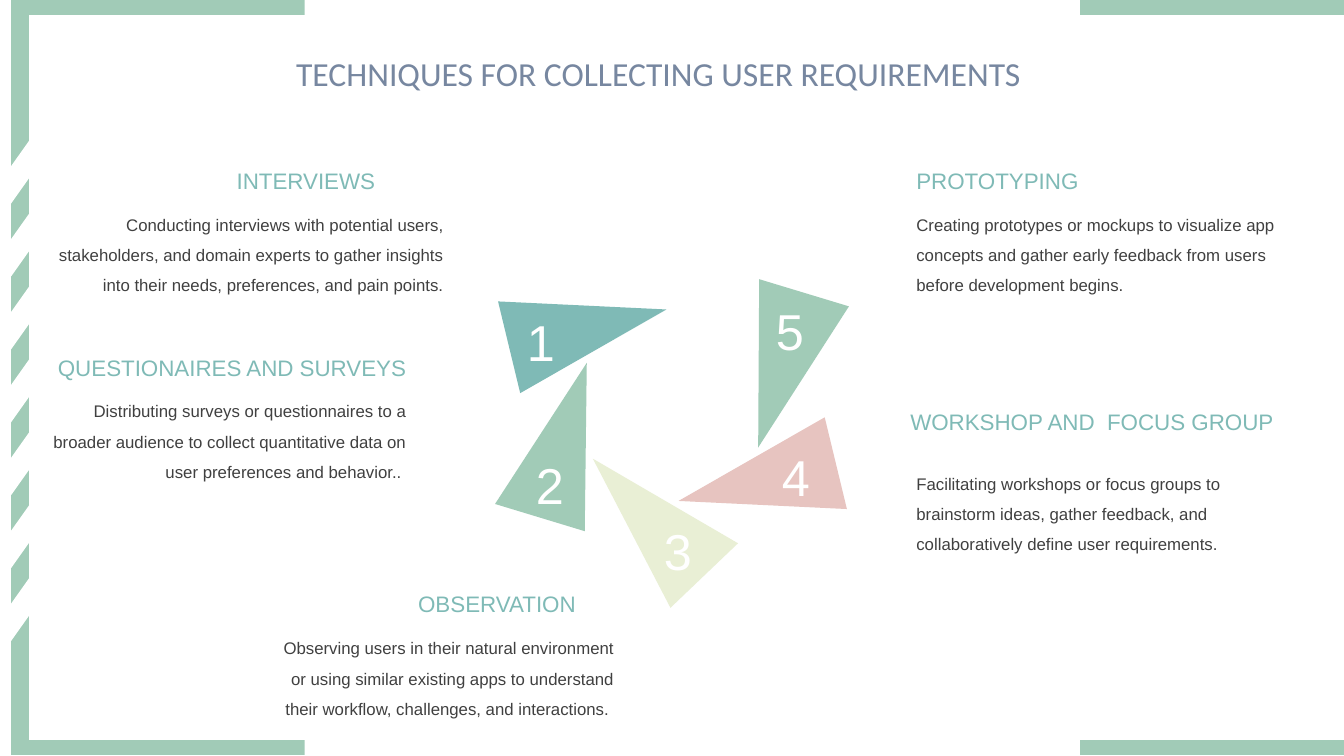
"""Build a slide on five techniques for collecting user requirements."""
from dataclasses import dataclass

from pptx import Presentation
from pptx import util as u
from pptx.dml.color import RGBColor
from pptx.enum import shapes, text
from pptx.shapes.autoshape import Shape
from pptx.slide import Slide
from pptx.text.text import TextFrame

Point = tuple[float, float]
Box = tuple[float, float, float, float]
LEFT, CENTER, RIGHT = text.PP_ALIGN.LEFT, text.PP_ALIGN.CENTER, text.PP_ALIGN.RIGHT


@dataclass(frozen=True)
class Theme:
    white: str = "FFFFFF"
    green: str = "A1CBB7"
    teal: str = "7FBAB6"
    cream: str = "E9EFD5"
    rose: str = "E7C4C0"
    slate: str = "7787A0"
    charcoal: str = "404040"
    title_font: str = "Calibri"
    text_font: str = "Arial"
    title_size: int = 24
    heading_size: int = 16
    body_size: int = 12
    number_size: int = 36


@dataclass(frozen=True)
class Blade:
    number: str
    color: str
    corners: tuple[Point, Point, Point]
    number_at: Point


@dataclass(frozen=True)
class Technique:
    heading: str
    heading_box: Box
    description: str
    description_box: Box
    align: text.PP_ALIGN


THEME = Theme()
FRAME: tuple[tuple[Box, str], ...] = (
    ((0.11, 0, 13.22, 7.49), THEME.green),
    ((3.02, 0, 7.69, 7.5), THEME.white),
    ((0.29, 0.15, 13.04, 7.19), THEME.white),
)
STRIPE_COUNT, STRIPE_TOP, STRIPE_PITCH = 7, 1.48, 4.34 / 6
NUMBER_WIDTH, NUMBER_HEIGHT = 0.83, 0.71

BLADES = (
    Blade("3", THEME.cream, ((7.32, 5.39), (6.65, 6.03), (5.88, 4.55)), (6.31, 5.11)),
    Blade("2", THEME.green, ((5.8, 5.27), (4.91, 5), (5.82, 3.6)), (5.04, 4.46)),
    Blade("1", THEME.teal, ((5.16, 3.9), (4.94, 2.99), (6.61, 3.07)), (4.95, 3.04)),
    Blade("5", THEME.green, ((7.53, 2.77), (8.42, 3.04), (7.52, 4.44)), (7.42, 2.93)),
    Blade("4", THEME.rose, ((8.18, 4.14), (8.4, 5.05), (6.73, 4.97)), (7.48, 4.38)),
)

TECHNIQUES = (
    Technique(
        "INTERVIEWS", (2.24, 1.61, 1.58, 0.37),
        "Conducting interviews with potential users, stakeholders, and domain experts "
        "to gather insights into their needs, preferences, and pain points.",
        (0.47, 1.98, 4.03, 1.01), RIGHT),
    Technique(
        "QUESTIONAIRES AND SURVEYS", (0.47, 3.46, 3.66, 0.37),
        "Distributing surveys or questionnaires to a broader audience to collect "
        "quantitative data on user preferences and behavior.. ",
        (0.29, 3.83, 3.84, 1.01), RIGHT),
    Technique(
        "OBSERVATION", (4.04, 5.81, 1.77, 0.37),
        "Observing users in their natural environment or using similar existing apps "
        "to understand their workflow, challenges, and interactions. ",
        (2.63, 6.18, 3.56, 1.01), RIGHT),
    Technique(
        "PROTOTYPING", (8.99, 1.61, 1.81, 0.37),
        "Creating prototypes or mockups to visualize app concepts and gather early "
        "feedback from users before development begins.",
        (8.99, 1.98, 4.09, 1.01), LEFT),
    Technique(
        "WORKSHOP AND  FOCUS GROUP", (8.93, 4, 3.81, 0.37),
        "Facilitating workshops or focus groups to brainstorm ideas, gather feedback, "
        "and collaboratively define user requirements.",
        (8.99, 4.55, 3.79, 1.01), LEFT),
)


def inches(values: Box) -> list[u.Length]:
    """Convert a box to lengths."""
    return [u.Inches(value) for value in values]


def paint(shape: Shape, color: str) -> None:
    """Give a shape a flat fill with no outline or shadow."""
    shape.shadow.inherit = False
    shape.fill.solid()
    shape.fill.fore_color.rgb = RGBColor.from_string(color)
    shape.line.fill.background()


def write(frame: TextFrame, words: str, font: str, size: int, color: str,
          align: text.PP_ALIGN, spacing: float = 1.0, wrap: bool = True) -> None:
    """Fill a text frame with one formatted paragraph."""
    frame.text = words
    frame.word_wrap = wrap
    frame.auto_size = text.MSO_AUTO_SIZE.SHAPE_TO_FIT_TEXT
    frame.vertical_anchor = text.MSO_ANCHOR.TOP
    paragraph = frame.paragraphs[0]
    paragraph.alignment = align
    paragraph.line_spacing = spacing
    paragraph.font.name = font
    paragraph.font.size = u.Pt(size)
    paragraph.font.color.rgb = RGBColor.from_string(color)


def draw_frame(slide: Slide) -> None:
    """Draw the green border with its slanted stripes."""
    for box, color in FRAME:
        paint(slide.shapes.add_shape(shapes.MSO_SHAPE.RECTANGLE, *inches(box)), color)
    for index in range(STRIPE_COUNT):
        top = STRIPE_TOP + index * STRIPE_PITCH
        stripe = slide.shapes.add_shape(
            shapes.MSO_SHAPE.PARALLELOGRAM, *inches((-0.13, top, 0.77, 0.3)))
        paint(stripe, THEME.white)
        stripe.line.color.rgb = RGBColor.from_string(THEME.white)
        stripe.line.width = u.Pt(1)
        stripe.adjustments[0] = 1.41
        stripe.rotation = 270
        stripe.element.spPr.get_or_add_xfrm().set("flipH", "1")


def draw_blade(slide: Slide, blade: Blade) -> None:
    """Draw one triangle of the pinwheel."""
    start, *others = [(u.Inches(x), u.Inches(y)) for x, y in blade.corners]
    outline = slide.shapes.build_freeform(*start)
    outline.add_line_segments(others, close=True)
    paint(outline.convert_to_shape(), blade.color)


def draw_number(slide: Slide, blade: Blade) -> None:
    """Write the number of one triangle."""
    number = slide.shapes.add_textbox(
        *inches((*blade.number_at, NUMBER_WIDTH, NUMBER_HEIGHT)))
    write(number.text_frame, blade.number, THEME.text_font, THEME.number_size,
          THEME.white, CENTER)


def draw_technique(slide: Slide, technique: Technique) -> None:
    """Write the heading and description of one technique."""
    heading = slide.shapes.add_textbox(*inches(technique.heading_box))
    write(heading.text_frame, technique.heading, THEME.text_font, THEME.heading_size,
          THEME.teal, technique.align, wrap=False)
    description = slide.shapes.add_textbox(*inches(technique.description_box))
    write(description.text_frame, technique.description, THEME.text_font,
          THEME.body_size, THEME.charcoal, technique.align, spacing=1.5)


def draw_title(slide: Slide) -> None:
    """Place the title in front of the frame."""
    title = slide.shapes.title
    title.left, title.top, title.width, title.height = inches((2.39, 0.47, 8.28, 0.5))
    write(title.text_frame, "TECHNIQUES FOR COLLECTING USER REQUIREMENTS",
          THEME.title_font, THEME.title_size, THEME.slate, CENTER)
    title.element.getparent().append(title.element)


def main() -> None:
    """Build and save the presentation."""
    deck = Presentation()
    deck.slide_width, deck.slide_height = u.Inches(13.33), u.Inches(7.5)
    slide = deck.slides.add_slide(deck.slide_layouts.get_by_name("Title Only"))
    draw_frame(slide)
    for blade in BLADES:
        draw_blade(slide, blade)
    for blade in BLADES:
        draw_number(slide, blade)
    for technique in TECHNIQUES:
        draw_technique(slide, technique)
    draw_title(slide)
    deck.save("out.pptx")


if __name__ == "__main__":
    main()
